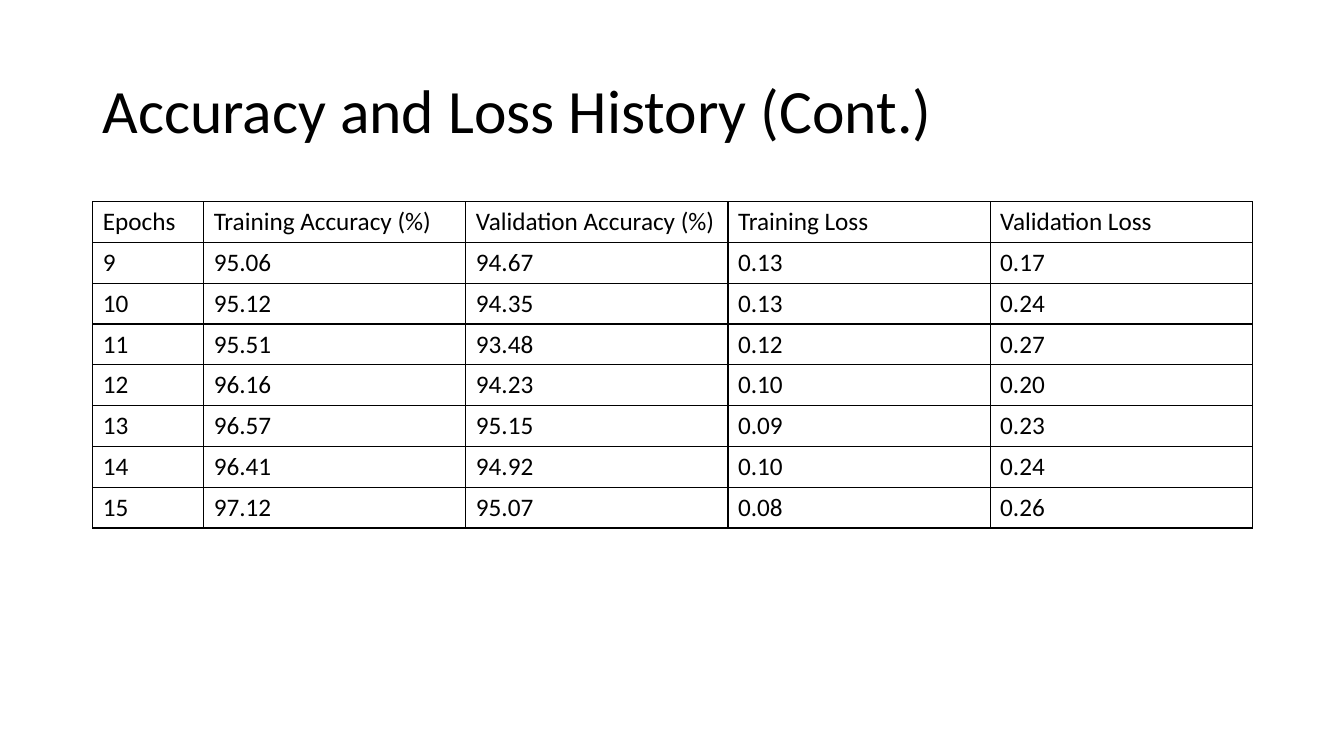
from lxml import etree
from pptx import Presentation
from pptx.dml.color import RGBColor
from pptx.enum import text
from pptx.oxml import parse_xml
from pptx.oxml.ns import nsdecls
from pptx.util import Inches, Pt

LEFT, WIDTH = 0.92, 11.5
COLUMN_WIDTHS = [1.1, 2.6, 2.6, 2.6, 2.6]
HISTORY = [
    ["Epochs", "Training Accuracy (%)", "Validation Accuracy (%)", "Training Loss", "Validation Loss"],
    ["9", "95.06", "94.67", "0.13", "0.17"],
    ["10", "95.12", "94.35", "0.13", "0.24"],
    ["11", "95.51", "93.48", "0.12", "0.27"],
    ["12", "96.16", "94.23", "0.10", "0.20"],
    ["13", "96.57", "95.15", "0.09", "0.23"],
    ["14", "96.41", "94.92", "0.10", "0.24"],
    ["15", "97.12", "95.07", "0.08", "0.26"],
]


def set_font(p, size, color):
    p.font.name = "Calibri"
    p.font.size = Pt(size)
    p.font.color.rgb = RGBColor.from_string(color)


def add_borders(cell, color):
    """Draw a 1 pt line on all four sides of a table cell."""
    tcPr = cell._tc.get_or_add_tcPr()
    for i, side in enumerate(["lnL", "lnR", "lnT", "lnB"]):
        tcPr.insert(i, parse_xml(
            f'<a:{side} {nsdecls("a")} w="12700"><a:solidFill>'
            f'<a:srgbClr val="{color}"/></a:solidFill></a:{side}>'))


prs = Presentation()
prs.slide_width, prs.slide_height = Inches(13.33), Inches(7.5)
s = prs.slides.add_slide(prs.slide_layouts[6])

title = s.shapes.add_textbox(Inches(LEFT), Inches(0.4), Inches(WIDTH), Inches(1.45))
tf = title.text_frame
tf.word_wrap = True
tf.vertical_anchor = text.MSO_ANCHOR.MIDDLE
p = tf.paragraphs[0]
p.text = "Accuracy and Loss History (Cont.)"
p.line_spacing = 0.9
set_font(p, 44, "000000")

table = s.shapes.add_table(len(HISTORY), len(COLUMN_WIDTHS), Inches(LEFT), Inches(2),
                           Inches(WIDTH), Inches(3.24)).table
table.first_row = table.horz_banding = False
for column, width in zip(table.columns, COLUMN_WIDTHS):
    column.width = Inches(width)

for row, values in zip(table.rows, HISTORY):
    for cell, value in zip(row.cells, values):
        cell.text = value
        set_font(cell.text_frame.paragraphs[0], 18, "000000")
        cell.fill.background()
        add_borders(cell, "000000")

prs.save("out.pptx")
